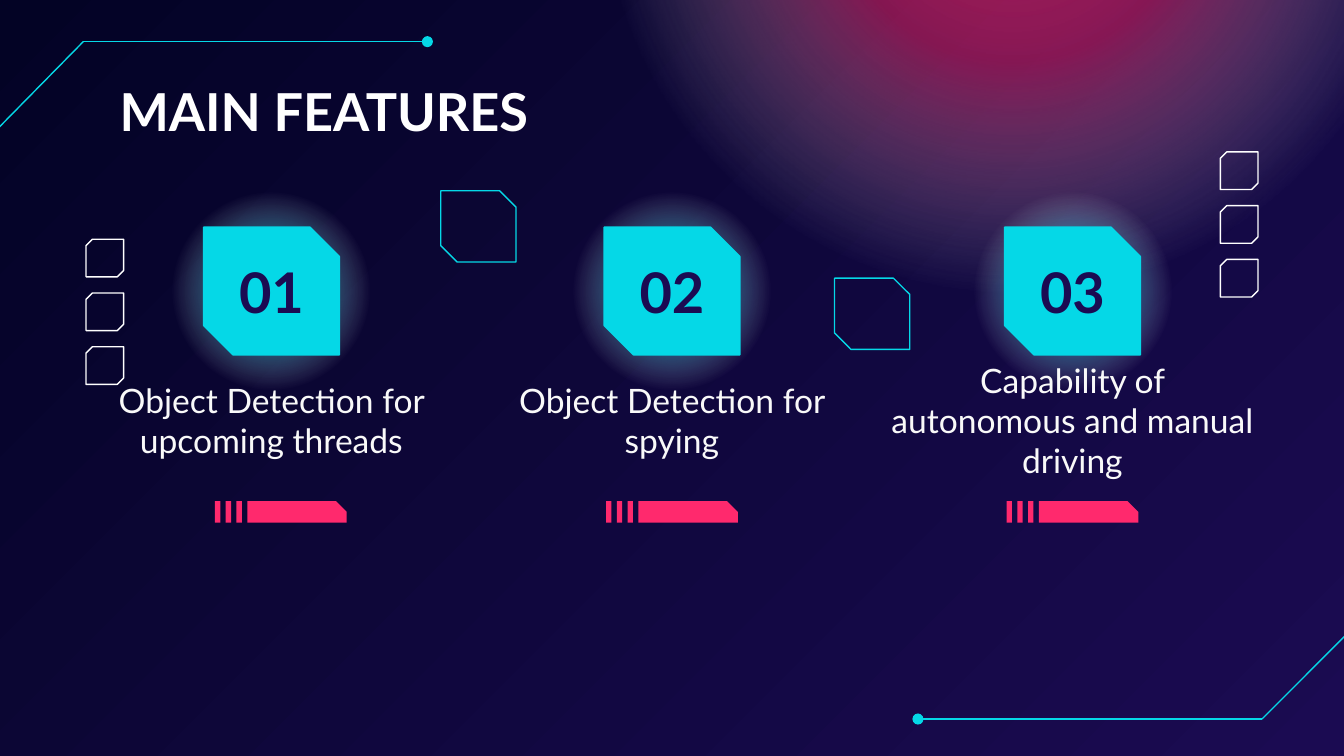
"""Build the main features slide with three numbered badges on a neon background."""
from dataclasses import dataclass

import pptx
import pptx.dml.color
import pptx.enum.shapes
import pptx.enum.text
import pptx.oxml
import pptx.oxml.ns
import pptx.presentation
import pptx.shapes.autoshape
import pptx.shapes.shapetree
import pptx.slide
import pptx.text.text
import pptx.util
from pptx.dml.color import RGBColor
from pptx.enum.shapes import MSO_SHAPE
from pptx.enum.text import MSO_ANCHOR, PP_ALIGN
from pptx.util import Inches, Pt

NIGHT = RGBColor(0x03, 0x03, 0x25)
INDIGO = RGBColor(0x1B, 0x0B, 0x52)
CYAN = RGBColor(0x05, 0xD8, 0xE7)
PINK = RGBColor(0xFF, 0x29, 0x6D)
WHITE = RGBColor(0xFF, 0xFF, 0xFF)
SOFT_WHITE = RGBColor(0xF9, 0xF9, 0xF9)
FONT = "Lato"
COLUMN_PITCH = 2.98
FIRST_CENTRE = 2.02
GLOW_SIZE = 1.51
BADGE_WIDTH = 1.01


@dataclass
class Feature:
    number: str
    caption: str
    caption_width: float
    bar_left: float


@dataclass
class Trace:
    start: tuple[float, float]
    bend: tuple[float, float]
    end: tuple[float, float]


FEATURES = [
    Feature("01", "Object Detection for upcoming threads", 2.48, 1.6),
    Feature("02", "Object Detection for spying", 2.48, 4.51),
    Feature("03", "Capability of autonomous and manual driving", 2.93, 7.49),
]
TRACES = [
    Trace((-0.01, 0.95), (0.62, 0.31), (3.18, 0.31)),
    Trace((10.02, 4.72), (9.39, 5.35), (6.83, 5.35)),
]
OUTLINES = [(3.28, 1.42), (6.21, 2.07)]
SQUARE_STACKS = [(9.08, 1.13), (0.64, 1.78)]


def add_shape(shapes: pptx.shapes.shapetree.SlideShapes, kind: MSO_SHAPE,
              left: float, top: float, width: float, height: float,
              fill: RGBColor | None = None, line: RGBColor | None = None,
              adjustments: tuple[float, ...] = ()) -> pptx.shapes.autoshape.Shape:
    shape = shapes.add_shape(kind, Inches(left), Inches(top), Inches(width), Inches(height))
    shape.shadow.inherit = False
    for index, value in enumerate(adjustments):
        shape.adjustments[index] = value
    if fill is None:
        shape.fill.background()
    else:
        shape.fill.solid()
        shape.fill.fore_color.rgb = fill
    if line is None:
        shape.line.fill.background()
    else:
        shape.line.color.rgb = line
        shape.line.width = Pt(0.75)
    return shape


def add_glow(slide: pptx.slide.Slide, left: float, top: float, size: float,
             color: RGBColor, centre_alpha: int, middle_alpha: int) -> None:
    glow = add_shape(slide.shapes, MSO_SHAPE.OVAL, left, top, size, size)
    stops = [(0, color, centre_alpha), (30, color, middle_alpha), (69, WHITE, 0), (100, WHITE, 0)]
    stops_xml = "".join(
        f'<a:gs pos="{position * 1000}"><a:srgbClr val="{tint}">'
        f'<a:alpha val="{alpha * 1000}"/></a:srgbClr></a:gs>'
        for position, tint, alpha in stops)
    gradient = pptx.oxml.parse_xml(
        f'<a:gradFill {pptx.oxml.ns.nsdecls("a")} rotWithShape="1"><a:gsLst>{stops_xml}</a:gsLst>'
        '<a:path path="circle"><a:fillToRect l="50000" t="50000" r="50000" b="50000"/></a:path>'
        '</a:gradFill>')
    properties = glow._element.spPr
    properties.replace(properties.find(pptx.oxml.ns.qn("a:noFill")), gradient)


def add_line(shapes: pptx.shapes.shapetree.GroupShapes, start: tuple[float, float],
             end: tuple[float, float], dot: bool = False) -> None:
    line = shapes.add_connector(pptx.enum.shapes.MSO_CONNECTOR.STRAIGHT,
                                *map(Inches, start), *map(Inches, end))
    line.line.color.rgb = CYAN
    line.line.width = Pt(0.75)
    namespace = pptx.oxml.ns.nsdecls("a")
    if dot:
        line.line._get_or_add_ln().append(
            pptx.oxml.parse_xml(f'<a:tailEnd {namespace} type="oval" w="med" len="med"/>'))
    line._element.spPr.append(pptx.oxml.parse_xml(f"<a:effectLst {namespace}/>"))


def write(frame: pptx.text.text.TextFrame, text: str, size: float, color: RGBColor,
          bold: bool, align: PP_ALIGN, anchor: MSO_ANCHOR) -> None:
    frame.text = text
    frame.word_wrap = True
    frame.auto_size = pptx.enum.text.MSO_AUTO_SIZE.NONE
    frame.vertical_anchor = anchor
    frame.margin_left = frame.margin_right = Inches(0.1)
    frame.margin_top = frame.margin_bottom = Inches(0.1)
    para = frame.paragraphs[0]
    para.alignment = align
    font = para.runs[0].font
    font.name, font.size, font.bold = FONT, Pt(size), bold
    font.color.rgb = color


def add_centred_text(slide: pptx.slide.Slide, text: str, centre: float, top: float, width: float,
                     height: float, size: float, color: RGBColor,
                     bold: bool) -> pptx.shapes.autoshape.Shape:
    box = slide.shapes.add_textbox(Inches(centre - width / 2), Inches(top),
                                   Inches(width), Inches(height))
    write(box.text_frame, text, size, color, bold, PP_ALIGN.CENTER, MSO_ANCHOR.MIDDLE)
    return box


def add_feature(slide: pptx.slide.Slide, feature: Feature, centre: float) -> None:
    add_glow(slide, centre - GLOW_SIZE / 2, 1.41, GLOW_SIZE, CYAN, 71, 48)
    add_shape(slide.shapes, MSO_SHAPE.SNIP_2_DIAG_RECTANGLE, centre - BADGE_WIDTH / 2, 1.69,
              BADGE_WIDTH, 0.95, CYAN, CYAN, (0, 0.23))
    add_centred_text(slide, feature.number, centre, 1.9, 0.85, 0.53, 30, INDIGO, True)
    caption = add_centred_text(slide, feature.caption, centre, 2.93, feature.caption_width, 0.39,
                               18, SOFT_WHITE, False)
    caption.text_frame.paragraphs[0].space_after = Pt(12)
    bar = slide.shapes.add_group_shape().shapes
    add_shape(bar, MSO_SHAPE.SNIP_1_RECTANGLE, feature.bar_left + 0.24, 3.73, 0.74, 0.16,
              PINK, adjustments=(0.5,))
    for index in range(3):
        add_shape(bar, MSO_SHAPE.RECTANGLE, feature.bar_left + index * 0.08, 3.73, 0.04, 0.16, PINK)


def add_square_stack(slide: pptx.slide.Slide, left: float, top: float) -> None:
    stack = slide.shapes.add_group_shape().shapes
    for index in range(3):
        square = add_shape(stack, MSO_SHAPE.SNIP_2_DIAG_RECTANGLE, left, top + index * 0.4,
                           0.28, 0.28, line=WHITE, adjustments=(0, 0.17))
        square.rotation = 90


def build_deck() -> pptx.presentation.Presentation:
    deck = pptx.Presentation()
    deck.slide_width = Inches(10)
    deck.slide_height = deck.slide_width * 9 // 16
    slide = deck.slides.add_slide(deck.slide_layouts[5])
    background = slide.background.fill
    background.gradient()
    background.gradient_angle = 315
    for stop, color in zip(background.gradient_stops, (NIGHT, INDIGO)):
        stop.color.rgb = color

    title = slide.shapes.title
    title.left, title.top = Inches(0.79), Inches(0.49)
    title.width, title.height = Inches(7.85), Inches(0.67)
    write(title.text_frame, "MAIN FEATURES", 28, WHITE, True, PP_ALIGN.LEFT, MSO_ANCHOR.TOP)

    add_glow(slide, 4.41, -3.99, 6.25, PINK, 67, 49)
    for trace in TRACES:
        lines = slide.shapes.add_group_shape().shapes
        add_line(lines, trace.start, trace.bend)
        add_line(lines, trace.bend, trace.end, dot=True)
    for index, feature in enumerate(FEATURES):
        add_feature(slide, feature, FIRST_CENTRE + index * COLUMN_PITCH)
    for left, top in OUTLINES:
        add_shape(slide.shapes, MSO_SHAPE.SNIP_2_DIAG_RECTANGLE, left, top, 0.56, 0.53,
                  line=CYAN, adjustments=(0, 0.23))
    for left, top in SQUARE_STACKS:
        add_square_stack(slide, left, top)
    return deck


if __name__ == "__main__":
    build_deck().save("out.pptx")
